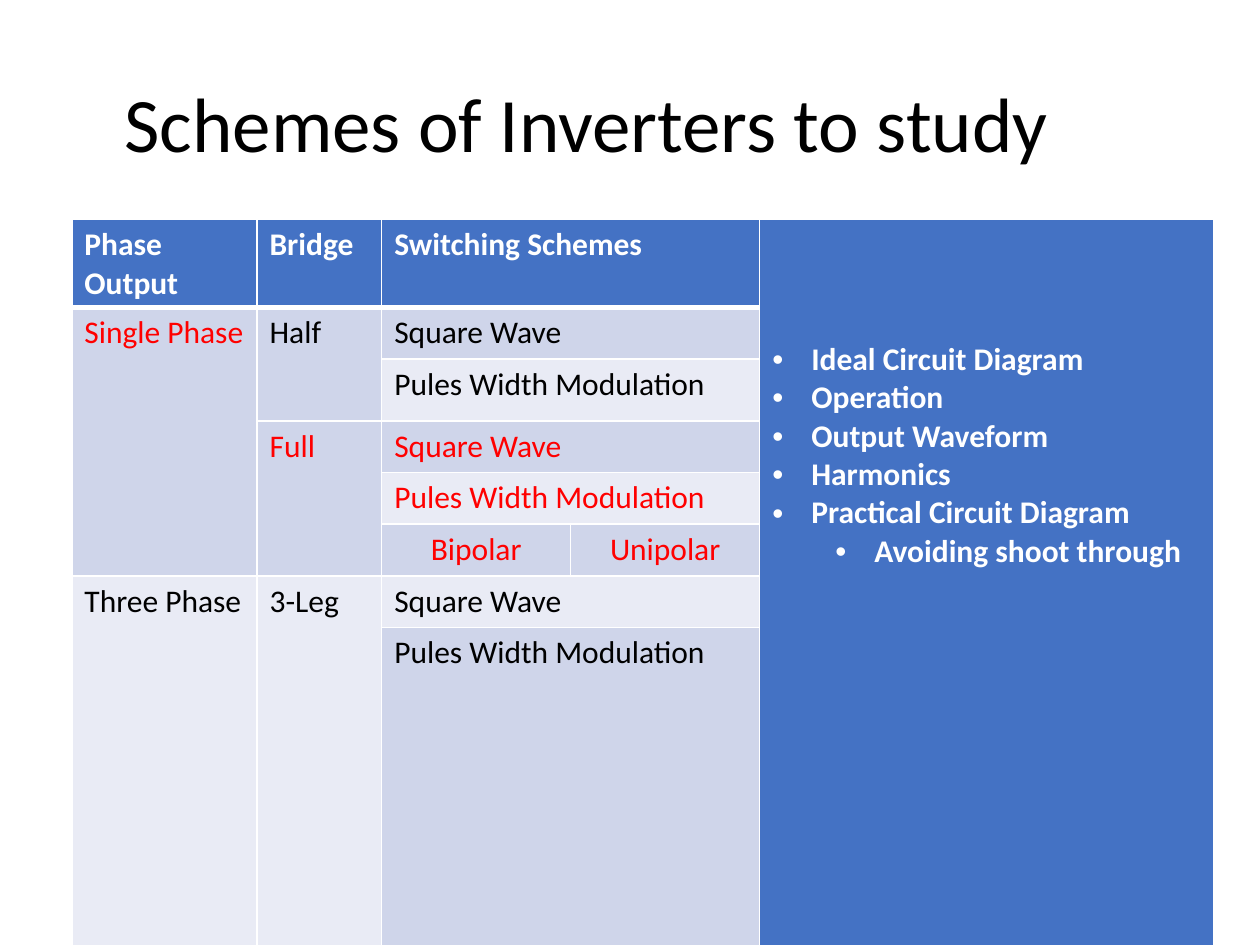
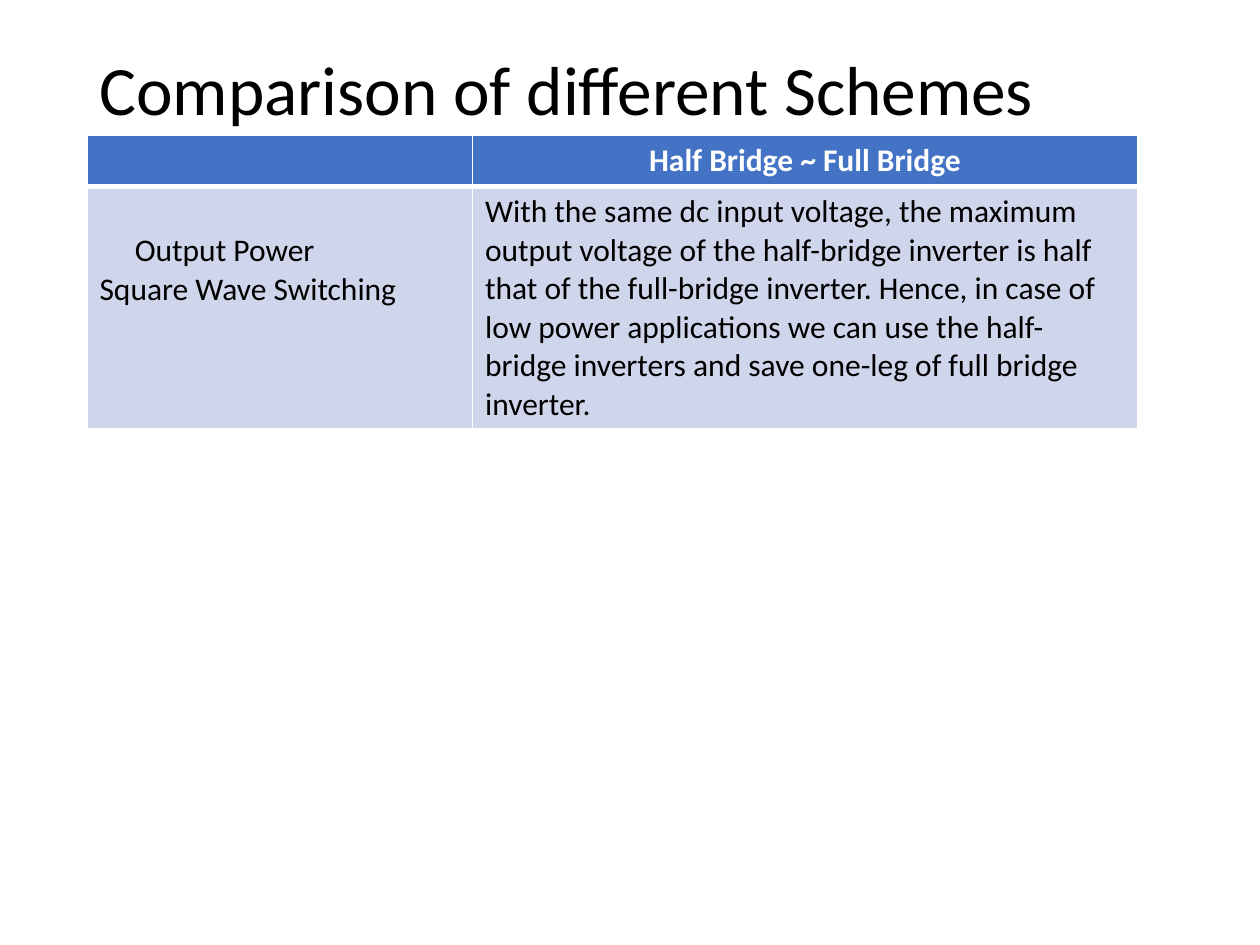
from lxml.etree import SubElement
from pptx import Presentation
from pptx.dml.color import RGBColor
from pptx.enum.text import MSO_ANCHOR, PP_ALIGN
from pptx.oxml.ns import qn
from pptx.util import Inches, Pt

FONT = "Calibri"
WHITE, BLACK, RED = "FFFFFF", "000000", "FF0000"
HEADER_BLUE, BAND_DARK, BAND_LIGHT = "4472C4", "CFD5EA", "E9EBF5"


def color(value):
    """Turn a hex string into a colour."""
    return RGBColor.from_string(value)


def add_run(paragraph, text, size, text_color, bold=False):
    """Add one formatted run to a paragraph."""
    run = paragraph.add_run()
    run.text = text
    run.font.name = FONT
    run.font.size = Pt(size)
    run.font.bold = bold
    run.font.color.rgb = color(text_color)


def add_title(slide, box, text, size):
    """Add the slide title, centred vertically in its box."""
    frame = slide.shapes.add_textbox(*map(Inches, box)).text_frame
    frame.word_wrap = True
    frame.vertical_anchor = MSO_ANCHOR.MIDDLE
    paragraph = frame.paragraphs[0]
    paragraph.line_spacing = 0.9
    add_run(paragraph, text, size, BLACK)


def set_borders(cell, bottom_width):
    """Draw white borders round a cell."""
    properties = cell._tc.get_or_add_tcPr()
    for side, width in (("L", 1), ("R", 1), ("T", 1), ("B", bottom_width)):
        line = SubElement(properties, qn(f"a:ln{side}"), w=str(Pt(width)))
        fill = SubElement(line, qn("a:solidFill"))
        SubElement(fill, qn("a:srgbClr"), val=WHITE)


def add_table(slide, box, column_widths, row_heights):
    """Add a table with white borders and a thick rule under the header."""
    left, top, width, height = map(Inches, box)
    table = slide.shapes.add_table(
        len(row_heights), len(column_widths), left, top, width, height).table
    table.horz_banding = False
    for column, column_width in zip(table.columns, column_widths):
        column.width = Inches(column_width)
    for index, (row, row_height) in enumerate(zip(table.rows, row_heights)):
        row.height = Inches(row_height)
        for cell in row.cells:
            set_borders(cell, 3 if index == 0 else 1)
    return table


def fill_cell(table, row, column, lines, fill, text_color=BLACK, span=(1, 1),
              alignment=PP_ALIGN.LEFT, margin_top=0.05):
    """Merge, fill and write one cell, and return its paragraphs."""
    cell = table.cell(row, column)
    if span != (1, 1):
        cell.merge(table.cell(row + span[0] - 1, column + span[1] - 1))
    cell.fill.solid()
    cell.fill.fore_color.rgb = color(fill)
    cell.margin_top = Inches(margin_top)
    frame = cell.text_frame
    for index, text in enumerate(lines):
        paragraph = frame.add_paragraph() if index else frame.paragraphs[0]
        paragraph.alignment = alignment
        add_run(paragraph, text, 18, text_color, bold=fill == HEADER_BLUE)
    return frame.paragraphs


def add_bullet(paragraph, level):
    """Give a paragraph a hanging bullet at a level."""
    paragraph.level = level
    properties = paragraph._p.get_or_add_pPr()
    properties.set("marL", str(Inches(0.31 + 0.5 * level)))
    properties.set("indent", str(Inches(-0.31)))
    SubElement(properties, qn("a:buFont"), typeface="Arial")
    SubElement(properties, qn("a:buChar"), char="•")


def build_schemes_table(slide, box):
    """Build the table of inverter schemes with the study topics beside it."""
    table = add_table(slide, box, [1.47, 0.99, 1.5, 1.5, 3.6],
                      [0.7, 0.41, 0.49, 0.41, 0.41, 0.41, 0.41, 2.52])
    for column, heading in enumerate(["Phase Output", "Bridge", "Switching Schemes"]):
        fill_cell(table, 0, column, [heading], HEADER_BLUE, WHITE,
                  span=(1, 2 if column == 2 else 1))

    topics = ["Ideal Circuit Diagram", "Operation", "Output Waveform", "Harmonics",
              "Practical Circuit Diagram", "Avoiding shoot through"]
    paragraphs = fill_cell(table, 0, 4, topics, HEADER_BLUE, WHITE,
                           span=(8, 1), margin_top=0.96)
    for paragraph, topic in zip(paragraphs, topics):
        add_bullet(paragraph, 1 if topic == topics[-1] else 0)

    groups = [(1, 0, 5, "Single Phase", BAND_DARK, RED),
              (1, 1, 2, "Half", BAND_DARK, BLACK),
              (3, 1, 3, "Full", BAND_DARK, RED),
              (6, 0, 2, "Three Phase", BAND_LIGHT, BLACK),
              (6, 1, 2, "3-Leg", BAND_LIGHT, BLACK)]
    for row, column, row_count, text, fill, text_color in groups:
        fill_cell(table, row, column, [text], fill, text_color, span=(row_count, 1))

    for first_row, text_color in ((1, BLACK), (3, RED), (6, BLACK)):
        for offset, text in enumerate(["Square Wave", "Pules Width Modulation"]):
            row = first_row + offset
            fill_cell(table, row, 2, [text], BAND_DARK if row % 2 else BAND_LIGHT,
                      text_color, span=(1, 2))
    for column, text in enumerate(["Bipolar", "Unipolar"], start=2):
        fill_cell(table, 5, column, [text], BAND_DARK, RED,
                  alignment=PP_ALIGN.CENTER)


def build_comparison_table(slide, box):
    """Build the table comparing half and full bridge inverters."""
    table = add_table(slide, box, [3.06, 5.28], [0.41, 1.92])
    fill_cell(table, 0, 0, [], HEADER_BLUE)
    fill_cell(table, 0, 1, ["Half Bridge ~ Full Bridge"], HEADER_BLUE, WHITE,
              alignment=PP_ALIGN.CENTER)
    paragraphs = fill_cell(table, 1, 0, ["Output Power", "Square Wave Switching"],
                           BAND_DARK, margin_top=0.36)
    paragraphs[0]._p.get_or_add_pPr().set("marL", str(Inches(0.28)))
    fill_cell(table, 1, 1, [
        "With the same dc input voltage, the maximum output voltage of the "
        "half-bridge inverter is half that of the full-bridge inverter. Hence, "
        "in case of low power applications we can use the half-bridge inverters "
        "and save one-leg of full bridge inverter."], BAND_DARK)


def main():
    """Build both slides and save the presentation."""
    presentation = Presentation()
    presentation.slide_width = Inches(10)
    presentation.slide_height = Inches(7.5)
    blank_layout = presentation.slide_layouts[6]

    schemes = presentation.slides.add_slide(blank_layout)
    add_title(schemes, (0.89, 0.29, 8.62, 1.45), "Schemes of Inverters to study", 44)
    build_schemes_table(schemes, (0.57, 1.74, 9.06, 5.76))

    comparison = presentation.slides.add_slide(blank_layout)
    add_title(comparison, (0.69, 0.4, 8.62, 0.67),
              "Comparison of different Schemes", 39.6)
    build_comparison_table(comparison, (0.69, 1.07, 8.34, 2.33))

    presentation.save("out.pptx")


if __name__ == "__main__":
    main()
